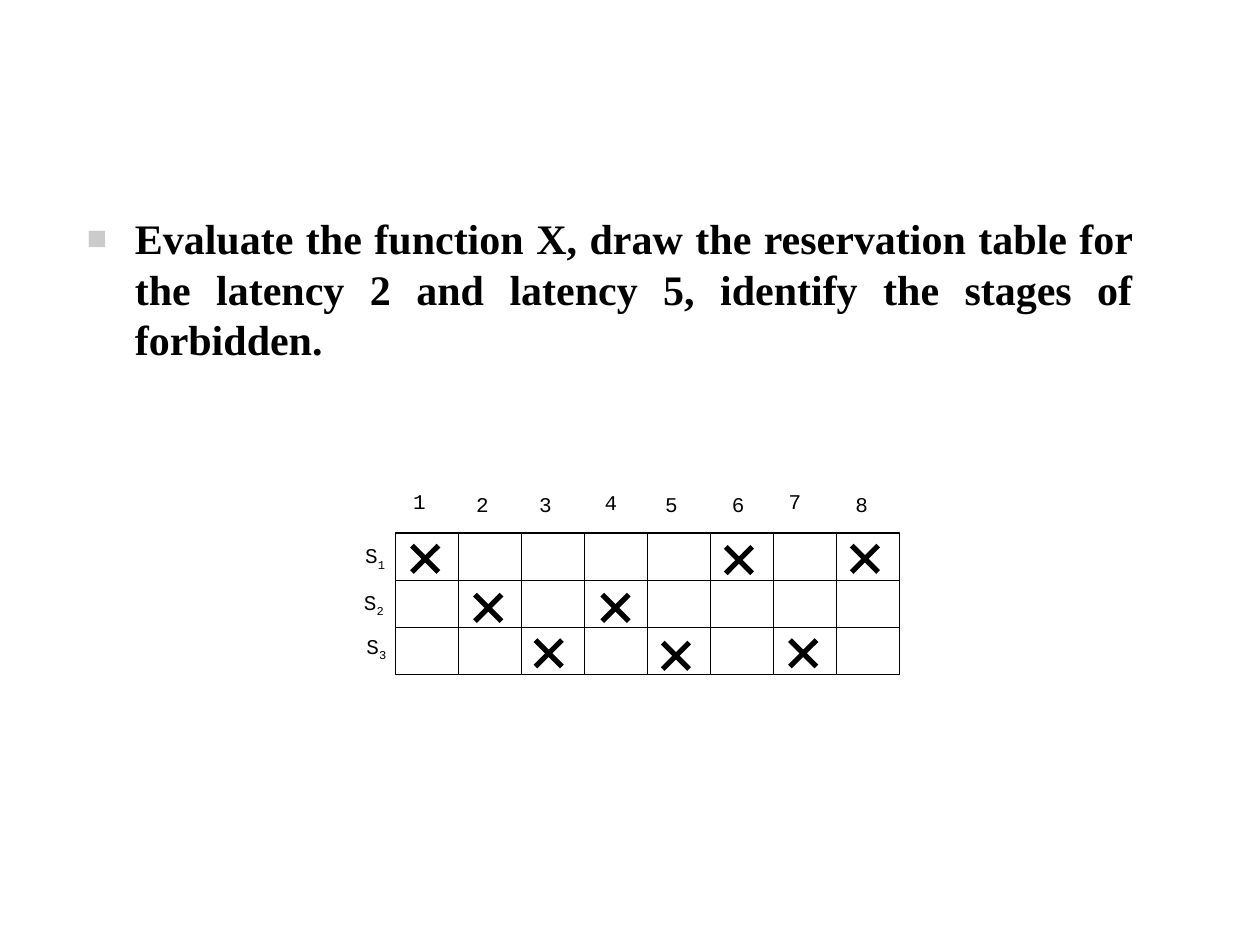
from lxml.etree import SubElement
from pptx import Presentation
from pptx.dml.color import RGBColor
from pptx.enum.shapes import MSO_CONNECTOR as CONNECTOR, MSO_SHAPE as SHAPE
from pptx.enum.text import MSO_ANCHOR as ANCHOR, MSO_AUTO_SIZE as AUTO_SIZE, PP_ALIGN as ALIGN
from pptx.oxml.ns import qn
from pptx.util import Inches, Pt

BLACK, BULLET_GREY = "000000", "CBCBCB"
GRID_LEFT, GRID_TOP = 3.14, 4.23
CELL_W, CELL_H = 0.5, 0.375
MARK_SIZE = 0.21

QUESTION = ("Evaluate the function X, draw the reservation table for the latency 2 "
            "and latency 5, identify the stages of forbidden.")
# Clock cycle number: top of its label, left of its label
CYCLES = {"1": (3.18, 3.83), "2": (3.68, 3.85), "3": (4.18, 3.85), "4": (4.7, 3.84),
          "5": (5.18, 3.85), "6": (5.71, 3.85), "7": (6.16, 3.83), "8": (6.69, 3.85)}
# Stage subscript: left and top of its label
STAGES = {"1": (2.8, 4.26), "2": (2.79, 4.63), "3": (2.81, 4.98)}
# Left and top of each mark, stage by stage
MARKS = [(3.27, 4.33), (5.76, 4.34), (6.76, 4.33),
         (3.77, 4.72), (4.78, 4.72),
         (4.25, 5.08), (5.26, 5.1), (6.27, 5.08)]


def color(value):
    return RGBColor.from_string(value)


class ReservationSlide:
    body_font = {"name": "Times New Roman", "size": Pt(24), "bold": True}
    label_font = {"name": "Courier New", "size": Pt(12), "bold": False}

    def __init__(self, slide):
        self.slide = slide
        self.diagram = slide.shapes.add_group_shape().shapes

    def run(self, paragraph, text, style):
        run = paragraph.add_run()
        run.text = text
        for name, value in style.items():
            setattr(run.font, name, value)
        run.font.color.rgb = color(BLACK)
        return run

    def question(self, text, left, top, width, height):
        body = self.slide.placeholders[1]
        box = {"left": left, "top": top, "width": width, "height": height}
        for name, value in box.items():
            setattr(body, name, Inches(value))
        frame = body.text_frame
        frame.auto_size = AUTO_SIZE.NONE
        frame.vertical_anchor = ANCHOR.TOP
        paragraph = frame.paragraphs[0]
        paragraph.alignment = ALIGN.JUSTIFY
        self.run(paragraph, text, self.body_font)
        # Grey square bullet with a hanging indent
        props = paragraph.space_before = Pt(4.8)
        props = paragraph._p.get_or_add_pPr()
        props.set("marL", str(Inches(0.38)))
        props.set("indent", str(-Inches(0.38)))
        SubElement(SubElement(props, qn("a:buClr")), qn("a:srgbClr"), val=BULLET_GREY)
        SubElement(props, qn("a:buSzPct"), val="80000")
        SubElement(props, qn("a:buFont"), typeface="Times New Roman")
        SubElement(props, qn("a:buChar"), char="■")

    def cell(self, left, top):
        cell = self.diagram.add_shape(SHAPE.RECTANGLE, Inches(left), Inches(top),
                                      Inches(CELL_W), Inches(CELL_H))
        cell.shadow.inherit = False
        cell.fill.background()
        cell.line.color.rgb = color(BLACK)
        cell.line.width = Pt(0.75)

    def label(self, text, left, top, subscript=""):
        frame = self.diagram.add_textbox(Inches(left), Inches(top),
                                         Inches(0.42), Inches(0.33)).text_frame
        frame.word_wrap = True
        paragraph = frame.paragraphs[0]
        self.run(paragraph, text, self.label_font)
        if subscript:
            lowered = self.run(paragraph, subscript, self.label_font)
            lowered.font._element.set("baseline", "-25000")

    def stroke(self, x1, y1, x2, y2):
        stroke = self.diagram.add_connector(CONNECTOR.STRAIGHT, Inches(x1), Inches(y1),
                                            Inches(x2), Inches(y2))
        stroke.line.color.rgb = color(BLACK)
        stroke.line.width = Pt(3)
        SubElement(stroke._element.spPr, qn("a:effectLst"))

    def mark(self, left, top):
        right, bottom = left + MARK_SIZE, top + MARK_SIZE
        self.stroke(left, top, right, bottom)
        self.stroke(right, top, left, bottom)


def main():
    deck = Presentation()
    deck.slide_width, deck.slide_height = Inches(10), Inches(7.5)
    slide = deck.slides.add_slide(deck.slide_layouts[1])
    unused_title = slide.shapes.title._element
    unused_title.getparent().remove(unused_title)
    page = ReservationSlide(slide)

    # Exercise text
    page.question(QUESTION, 0.59, 1.64, 8.5, 4.5)

    # Empty reservation table
    for row in range(len(STAGES)):
        for column in range(len(CYCLES)):
            page.cell(GRID_LEFT + column * CELL_W, GRID_TOP + row * CELL_H)

    # Stage and clock cycle labels
    for number, (left, top) in STAGES.items():
        page.label("S", left, top, subscript=number)
    for number, (left, top) in CYCLES.items():
        page.label(number, left, top)

    # Marks for the stages in use
    for left, top in MARKS:
        page.mark(left, top)

    deck.save("out.pptx")


if __name__ == "__main__":
    main()
